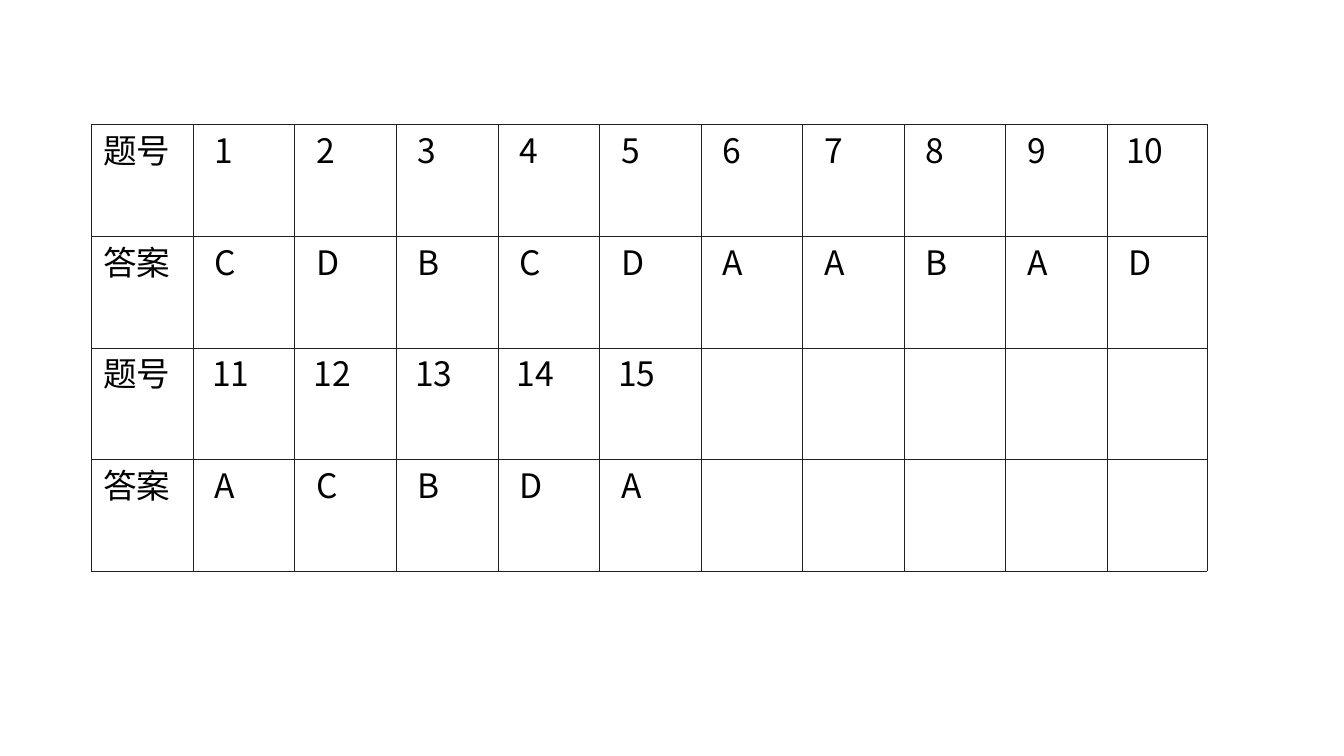
from lxml.etree import SubElement
from pptx import Presentation
from pptx.dml.color import RGBColor
from pptx.oxml.ns import qn
from pptx.util import Pt

# Content: question numbers with their answers
ROWS = [
    ["题号", "1", "2", "3", "4", "5", "6", "7", "8", "9", "10"],
    ["答案", "C", "D", "B", "C", "D", "A", "A", "B", "A", "D"],
    ["题号", "11", "12", "13", "14", "15"],
    ["答案", "A", "C", "B", "D", "A"],
]

# Layout and format, in points
LEFT, TOP = 65.3, 88.8
COL_W, LAST_COL_W, ROW_H = 72.55, 71.5, 79.8
LABEL_INDENT, SINGLE_INDENT, DOUBLE_INDENT = 8.4, 15.6, 13.7
BORDER_W, BORDER_COLOR = 0.25, "231F20"
FONT_NAME, TEXT_COLOR = "Noto Sans CJK SC", "000000"
FONT = {"name": FONT_NAME, "size": Pt(24), "bold": False}
MARGINS = {f"margin_{side}": 0 for side in ("left", "right", "top", "bottom")}
PLAIN = {"first_row": False, "horz_banding": False}


def rgb(color):
    return RGBColor.from_string(color)


def set_attrs(obj, values):
    for name, value in values.items():
        setattr(obj, name, value)


def add_borders(cell):
    tc_pr = cell._tc.get_or_add_tcPr()
    for side in ("lnL", "lnR", "lnT", "lnB"):
        ln = SubElement(tc_pr, qn(f"a:{side}"), w=str(Pt(BORDER_W)))
        fill = SubElement(ln, qn("a:solidFill"))
        SubElement(fill, qn("a:srgbClr"), val=BORDER_COLOR)


def indent_for(col, text):
    if col == 0:
        return LABEL_INDENT
    return SINGLE_INDENT if len(text) == 1 else DOUBLE_INDENT


def write(cell, text, indent):
    p = cell.text_frame.paragraphs[0]
    p._p.get_or_add_pPr().set("marL", str(Pt(indent)))
    r = p.add_run()
    r.text = text
    set_attrs(r.font, FONT)
    r.font.color.rgb = rgb(TEXT_COLOR)
    SubElement(r._r.get_or_add_rPr(), qn("a:ea"), typeface=FONT_NAME)


prs = Presentation()
set_attrs(prs, {"slide_width": Pt(960), "slide_height": Pt(540)})
s = prs.slides.add_slide(prs.slide_layouts[6])

# Table grid
n_rows, n_cols = len(ROWS), len(ROWS[0])
widths = [COL_W] * (n_cols - 1) + [LAST_COL_W]
table = s.shapes.add_table(n_rows, n_cols, Pt(LEFT), Pt(TOP),
                           Pt(sum(widths)), Pt(n_rows * ROW_H)).table
set_attrs(table, PLAIN)
for column, width in zip(table.columns, widths):
    column.width = Pt(width)
for row in table.rows:
    row.height = Pt(ROW_H)

# Cell format
for cell in table.iter_cells():
    set_attrs(cell, MARGINS)
    add_borders(cell)
    cell.fill.background()

# Cell text
for i, texts in enumerate(ROWS):
    for j, text in enumerate(texts):
        write(table.cell(i, j), text, indent_for(j, text))

prs.save("out.pptx")
